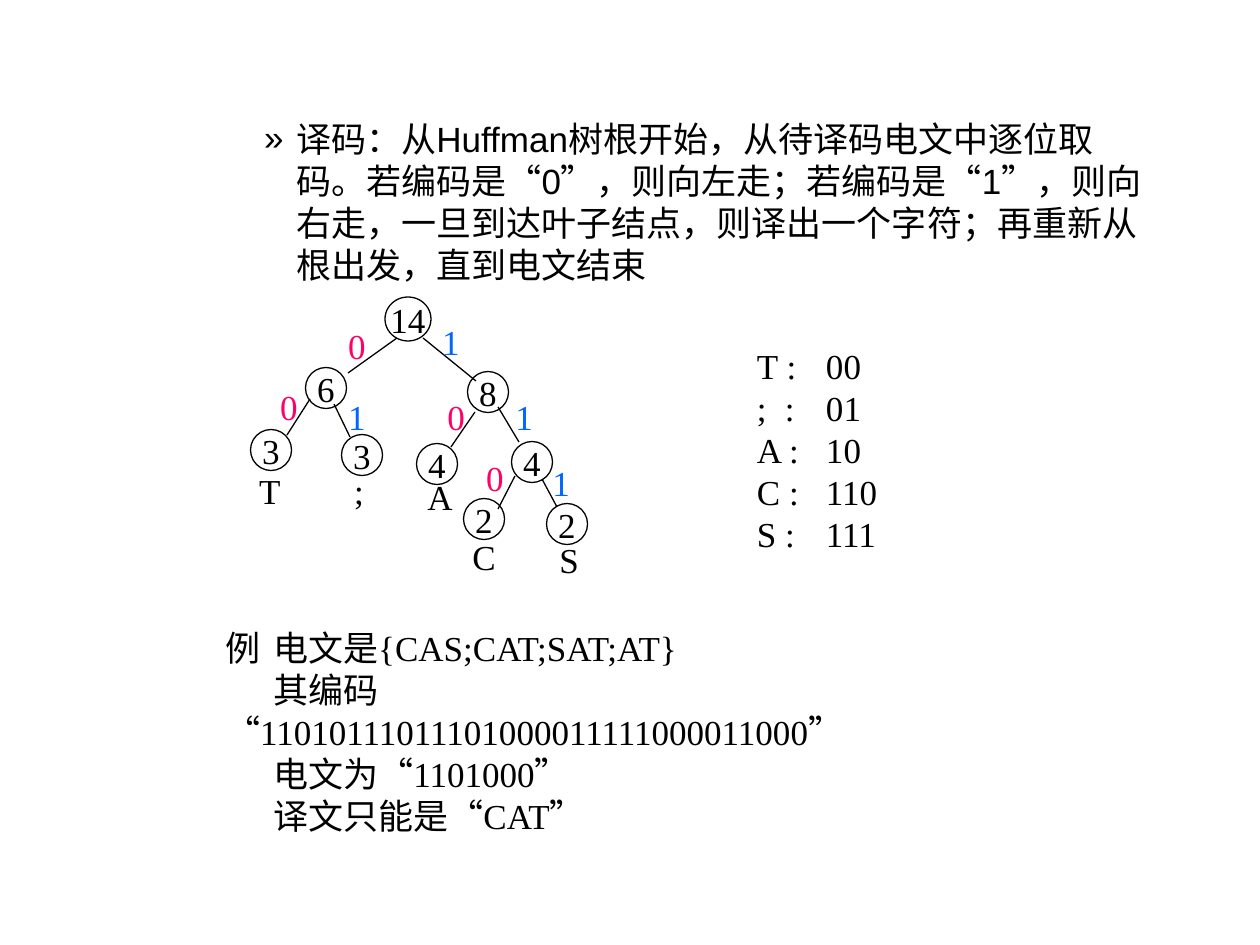
import pptx
import pptx.dml.color
import pptx.enum.shapes
import pptx.enum.text
import pptx.util
from lxml import etree
from pptx.oxml.ns import qn

PX = 914400 / 126
BLACK = pptx.dml.color.RGBColor(0x00, 0x00, 0x00)
PINK = pptx.dml.color.RGBColor(0xFF, 0x00, 0x66)
BLUE = pptx.dml.color.RGBColor(0x00, 0x66, 0xFF)
BIT_COLORS = {"0": PINK, "1": BLUE}
SERIF = "Times New Roman"
CENTER = pptx.enum.text.PP_ALIGN.CENTER
LEFT = pptx.enum.text.PP_ALIGN.LEFT
INDENT = 48

RULE = ("译码：从Huffman树根开始，从待译码电文中逐位取码。若编码是“0”，则向左走；"
        "若编码是“1”，则向右走，一旦到达叶子结点，则译出一个字符；再重新从根出发，直到电文结束")
EXAMPLE = ["例\t电文是{CAS;CAT;SAT;AT}",
           "其编码 “11010111011101000011111000011000”",
           "电文为“1101000”",
           "译文只能是“CAT”"]
CODES = ["T :\t00", ";\t:\t01", "A :\t10", "C :\t110", "S :\t111"]

# weight, centre x, centre y, width, height
NODES = [("14", 408, 319, 46, 44),
         ("6", 326, 388, 41, 41), ("8", 488, 392, 41, 41),
         ("3", 271, 450, 41, 41), ("3", 362, 455, 41, 41),
         ("4", 437, 464, 41, 41), ("4", 532, 462, 41, 41),
         ("2", 484, 519, 41, 41), ("2", 567, 524, 41, 41)]
# branch start, branch end, bit, bit centre
BRANCHES = [((397, 338), (348, 373), "0", (357, 346)),
            ((423, 338), (476, 381), "1", (451, 341)),
            ((310, 399), (287, 435), "0", (289, 406)),
            ((334, 404), (350, 437), "1", (357, 416)),
            ((475, 412), (451, 447), "0", (456, 416)),
            ((498, 407), (519, 442), "1", (524, 416)),
            ((515, 476), (498, 509), "0", (495, 477)),
            ((542, 479), (557, 507), "1", (561, 482))]
LEAVES = [("T", 270, 490), (";", 359, 490), ("A", 440, 497),
          ("C", 484, 556), ("S", 569, 560)]


def px(*lengths):
    return [pptx.util.Emu(round(n * PX)) for n in lengths]


def apply(target, values):
    for name, value in values.items():
        setattr(target, name, value)


def add_tabs(p, stops):
    tabs = etree.SubElement(p._p.get_or_add_pPr(), qn("a:tabLst"))
    for stop in px(*stops):
        etree.SubElement(tabs, qn("a:tab"), pos=str(stop), algn="l")


def format_frame(tf, wrap, anchor):
    left, top = px(13, 6)
    apply(tf, {"word_wrap": wrap, "vertical_anchor": anchor,
               "auto_size": pptx.enum.text.MSO_AUTO_SIZE.NONE,
               "margin_left": left, "margin_right": left,
               "margin_top": top, "margin_bottom": top})


def write(p, text, color=BLACK, font=SERIF, align=LEFT):
    apply(p, {"text": text, "alignment": align})
    for r in p.runs:
        apply(r.font, {"size": pptx.util.Pt(20), "name": font})
        r.font.color.rgb = color


def add_lines(shapes, box, lines, stops, wrap=False):
    """Text box with one paragraph per line; returns the paragraphs."""
    tf = shapes.add_textbox(*px(*box)).text_frame
    format_frame(tf, wrap, pptx.enum.text.MSO_ANCHOR.MIDDLE)
    for i, line in enumerate(lines):
        p = tf.add_paragraph() if i else tf.paragraphs[0]
        add_tabs(p, stops)
        write(p, line)
    return tf.paragraphs


def add_label(shapes, text, x, y, color=BLACK):
    """Short text centred on a point."""
    tf = shapes.add_textbox(*px(x - 22, y - 28, 44, 56)).text_frame
    format_frame(tf, False, pptx.enum.text.MSO_ANCHOR.MIDDLE)
    write(tf.paragraphs[0], text, color, align=CENTER)


def add_node(shapes, text, x, y, w, h):
    sp = shapes.add_shape(pptx.enum.shapes.MSO_SHAPE.OVAL,
                          *px(x - w / 2, y - h / 2, w, h))
    sp.shadow.inherit = False
    sp.fill.background()
    sp.line.color.rgb = BLACK
    sp.line.width = pptx.util.Pt(0.75)
    format_frame(sp.text_frame, False, pptx.enum.text.MSO_ANCHOR.MIDDLE)
    write(sp.text_frame.paragraphs[0], text, align=CENTER)


def add_branch(shapes, start, end):
    line = shapes.add_connector(pptx.enum.shapes.MSO_CONNECTOR.STRAIGHT,
                                *px(*start, *end))
    line.line.color.rgb = BLACK
    line.line.width = pptx.util.Pt(0.75)
    etree.SubElement(line._element.spPr, qn("a:effectLst"))


def fill_body(sp):
    left, top, width, height = px(0, 111, 1172, 182)
    apply(sp, {"left": left, "top": top, "width": width, "height": height})
    format_frame(sp.text_frame, True, pptx.enum.text.MSO_ANCHOR.TOP)
    p = sp.text_frame.paragraphs[0]
    apply(p, {"level": 4, "space_before": pptx.util.Pt(0)})
    pPr = p._p.get_or_add_pPr()
    margin, hang = px(283, -32)
    for name, value in {"marL": margin, "indent": hang, "hangingPunct": 0}.items():
        pPr.set(name, str(value))
    color = etree.SubElement(pPr, qn("a:buClr"))
    etree.SubElement(color, qn("a:srgbClr"), val=str(BLACK))
    etree.SubElement(pPr, qn("a:buFont"), typeface="Arial")
    etree.SubElement(pPr, qn("a:buChar"), char="»")
    write(p, RULE, font="Arial")


def add_tree(shapes):
    for node in NODES:
        add_node(shapes, *node)
    for start, end, bit, center in BRANCHES:
        add_branch(shapes, start, end)
        add_label(shapes, bit, *center, BIT_COLORS[bit])
    for leaf in LEAVES:
        add_label(shapes, *leaf)


def main():
    prs = pptx.Presentation()
    prs.slide_width, prs.slide_height = px(1260, 945)
    s = prs.slides.add_slide(prs.slide_layouts[1])
    title = s.shapes.title._element
    title.getparent().remove(title)
    fill_body(s.placeholders[1])

    example = add_lines(s.shapes, (212, 640, 800, 182), EXAMPLE, [INDENT], wrap=True)
    for p in example[1:]:
        p._p.get_or_add_pPr().set("indent", str(px(INDENT)[0]))

    group = s.shapes.add_group_shape()
    add_tree(group.shapes)
    add_lines(group.shapes, (744, 338, 146, 223), CODES, [28, 69])
    prs.save("out.pptx")


if __name__ == "__main__":
    main()
